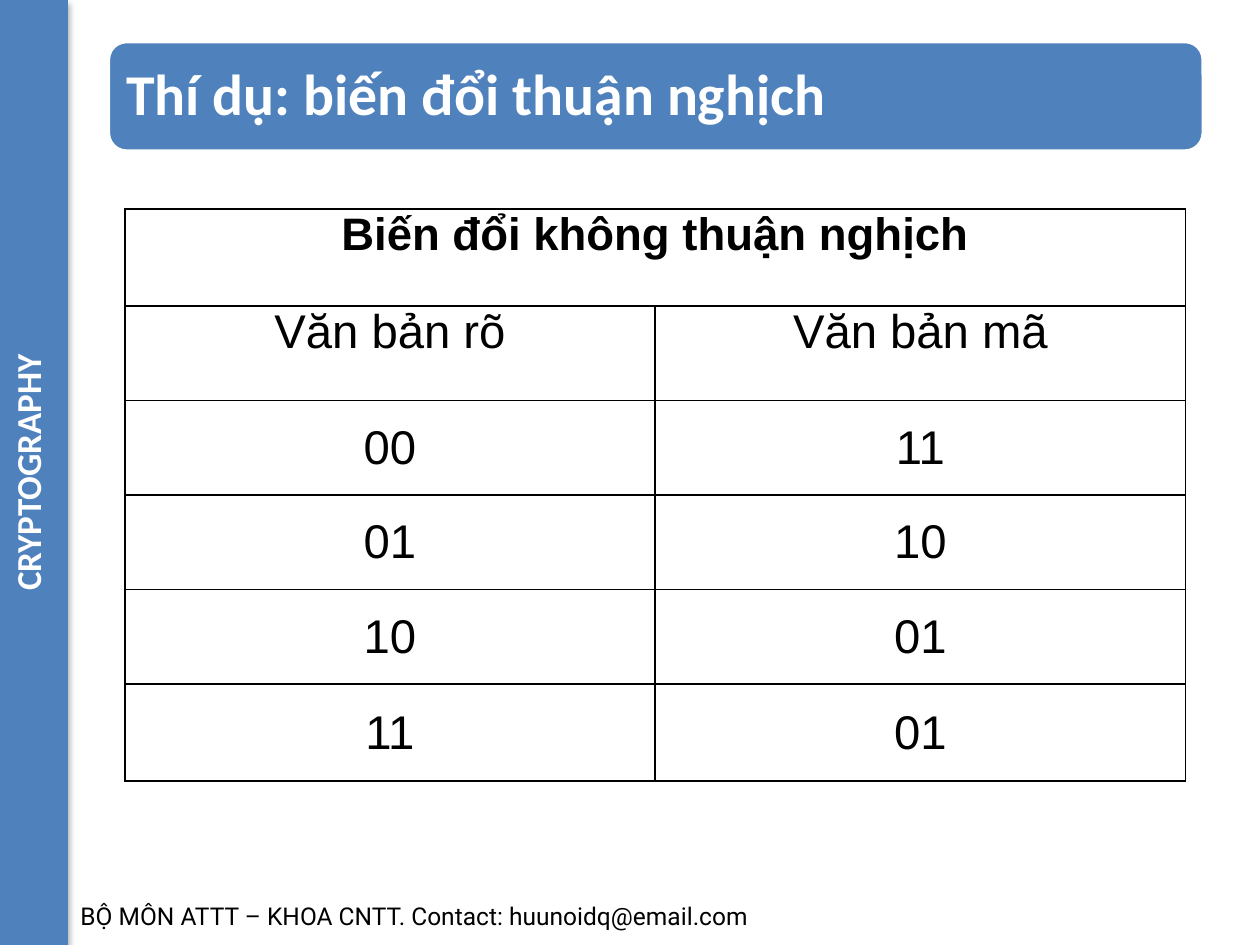
from lxml.etree import SubElement
from pptx import Presentation
from pptx.dml.color import RGBColor
from pptx.enum.shapes import MSO_SHAPE as SHAPE
from pptx.enum.text import MSO_ANCHOR as ANCHOR, MSO_AUTO_SIZE as AUTO, PP_ALIGN as ALIGN
from pptx.oxml import parse_xml
from pptx.oxml.ns import nsdecls, qn
from pptx.util import Inches, Pt

BLUE = RGBColor(0x4F, 0x81, 0xBD)
WHITE = RGBColor(0xFF, 0xFF, 0xFF)
BLACK = RGBColor(0, 0, 0)
HEADING = "Biến đổi không thuận nghịch"
ROWS = [("Văn bản rõ", "Văn bản mã"), ("00", "11"), ("01", "10"), ("10", "01"), ("11", "01")]


class SlideBuilder:
    """Holds the current slide and the style shared by its elements."""

    def __init__(self, slide):
        self.s = slide

    def set_text(self, tf, text, font, size, color, bold=False, align=ALIGN.LEFT):
        p = tf.paragraphs[0]
        p.text = text
        p.alignment = align
        for r in p.runs:
            r.font.name, r.font.size, r.font.bold = font, Pt(size), bold
            r.font.color.rgb = color
        return p

    def block(self, kind, x, y, w, h):
        sp = self.s.shapes.add_shape(kind, Inches(x), Inches(y), Inches(w), Inches(h))
        sp.fill.solid()
        sp.fill.fore_color.rgb = BLUE
        sp.line.fill.background()
        sp.shadow.inherit = False
        return sp

    def title(self, text, x, y, w, h):
        panel = self.block(SHAPE.ROUNDED_RECTANGLE, x, y, w, h)
        panel.line.color.rgb = WHITE
        panel.line.width = Pt(2)
        sp = self.s.shapes.title
        self.s.shapes._spTree.append(sp._element)
        sp.left, sp.top, sp.width, sp.height = panel.left, panel.top, panel.width, panel.height
        tf = sp.text_frame
        tf.margin_left = tf.margin_right = tf.margin_top = tf.margin_bottom = Inches(0.14)
        tf.vertical_anchor = ANCHOR.MIDDLE
        tf.auto_size = AUTO.NONE
        self.set_text(tf, text, "Calibri", 33, WHITE, True).line_spacing = 0.9

    def sidebar(self, text, w, h):
        sp = self.block(SHAPE.RECTANGLE, 0, 0, w, h)
        effects = sp._element.spPr.find(qn("a:effectLst"))
        shadow = SubElement(effects, qn("a:outerShdw"), blurRad=str(Pt(3.5)), dist=str(Pt(2.2)),
                            dir="5400000", rotWithShape="0")
        color = SubElement(shadow, qn("a:srgbClr"), val=str(BLACK))
        SubElement(color, qn("a:alpha"), val="32000")
        tf = sp.text_frame
        tf._txBody.bodyPr.set("vert", "vert270")
        tf.vertical_anchor = ANCHOR.TOP
        self.set_text(tf, text, "Calibri", 20, WHITE, True, ALIGN.CENTER)

    def cell(self, cell, text, size=27, bold=False, anchor=ANCHOR.MIDDLE):
        cell.margin_left = cell.margin_right = cell.margin_top = cell.margin_bottom = 0
        cell.vertical_anchor = anchor
        tcPr = cell._tc.get_or_add_tcPr()
        for side in ("lnL", "lnR", "lnT", "lnB"):
            tcPr.append(parse_xml(
                f'<a:{side} {nsdecls("a")} w="{Pt(1)}"><a:solidFill><a:srgbClr val="{BLACK}"/>'
                f'</a:solidFill></a:{side}>'))
        cell.fill.background()
        if text:
            self.set_text(cell.text_frame, text, "Arial", size, BLACK, bold, ALIGN.CENTER)

    def table(self, heading, rows, x, y, w, h):
        shape = self.s.shapes.add_table(len(rows) + 1, 2, Inches(x), Inches(y), Inches(w), Inches(h))
        tbl = shape.table
        tbl.first_row = tbl.horz_banding = False
        for i, row in enumerate(tbl.rows):
            row.height = Inches(0.77 if i in (0, len(rows)) else 0.75)
        tbl.cell(0, 0).merge(tbl.cell(0, 1))
        self.cell(tbl.cell(0, 0), heading, 26, True, ANCHOR.TOP)
        self.cell(tbl.cell(0, 1), "")
        for i, row in enumerate(rows, 1):
            for j, text in enumerate(row):
                self.cell(tbl.cell(i, j), text, anchor=ANCHOR.TOP if i == 1 else ANCHOR.MIDDLE)

    def footer(self, text, x, y, w, h):
        tf = self.s.shapes.add_textbox(Inches(x), Inches(y), Inches(w), Inches(h)).text_frame
        tf.word_wrap = True
        tf.auto_size = AUTO.SHAPE_TO_FIT_TEXT
        self.set_text(tf, text, "Roboto", 14, BLACK)


def main():
    prs = Presentation()
    prs.slide_width, prs.slide_height = Inches(10), Inches(7.5)
    b = SlideBuilder(prs.slides.add_slide(prs.slide_layouts[5]))
    b.title("Thí dụ: biến đổi thuận nghịch", 0.86, 0.33, 8.69, 0.87)
    b.table(HEADING, ROWS, 0.99, 1.66, 8.42, 4.54)
    b.sidebar("CRYPTOGRAPHY", 0.54, 7.5)
    b.footer("BỘ MÔN ATTT – KHOA CNTT. Contact: huunoidq@email.com", 0.54, 7.1, 9.46, 0.34)
    prs.save("out.pptx")


if __name__ == "__main__":
    main()
